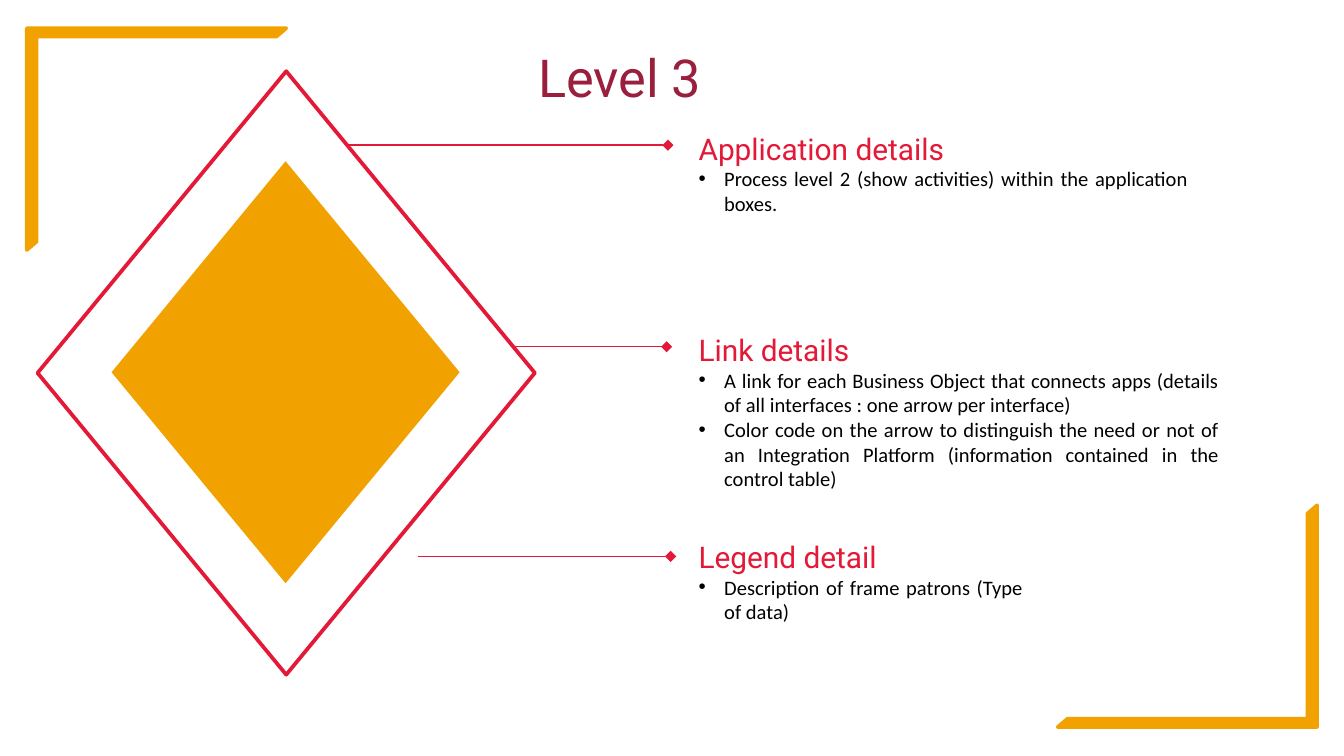
from dataclasses import dataclass

from lxml.etree import SubElement
from pptx import Presentation
from pptx.dml.color import RGBColor
from pptx.enum.shapes import MSO_CONNECTOR, MSO_SHAPE
from pptx.enum.text import MSO_AUTO_SIZE, PP_ALIGN
from pptx.oxml.ns import qn
from pptx.shapes.autoshape import Shape
from pptx.slide import Slide
from pptx.text.text import TextFrame
from pptx.util import Inches, Pt

ORANGE = RGBColor(0xF2, 0xA2, 0x00)
RED = RGBColor(0xE3, 0x19, 0x37)
MAROON = RGBColor(0x99, 0x1F, 0x3D)
WHITE = RGBColor(0xFF, 0xFF, 0xFF)
BLACK = RGBColor(0x00, 0x00, 0x00)
BULLET_INDENT = Inches(0.19)
CALLOUT_LEFT = 5.1


@dataclass(frozen=True)
class Frame:
    left: float
    top: float
    width: float
    height: float


@dataclass(frozen=True)
class Callout:
    frame: Frame
    heading: str
    heading_align: PP_ALIGN
    bullets: tuple[str, ...]
    line_start: float
    line_end: float
    line_y: float


CORNERS = (
    (Frame(0.2, 0.21, 1.93, 1.65), 0),
    (Frame(7.87, 3.76, 1.93, 1.65), 180),
)

CALLOUTS = (
    Callout(
        Frame(CALLOUT_LEFT, 0.92, 3.84, 0.74),
        "Application details",
        PP_ALIGN.JUSTIFY,
        ("Process level 2 (show activities) within the application boxes.",),
        2.48, 4.97, 1.08,
    ),
    Callout(
        Frame(CALLOUT_LEFT, 2.42, 4.07, 1.3),
        "Link details",
        PP_ALIGN.LEFT,
        (
            "A link for each Business Object that connects apps "
            "(details of all interfaces : one arrow per interface)",
            "Color code on the arrow to distinguish the need or not of an "
            "Integration Platform (information contained in the control table)",
        ),
        3.34, 4.96, 2.58,
    ),
    Callout(
        Frame(CALLOUT_LEFT, 3.96, 2.61, 0.74),
        "Legend detail",
        PP_ALIGN.LEFT,
        ("Description of frame patrons (Type of data)",),
        3.11, 4.99, 4.14,
    ),
)


def add_outline(page: Slide, kind: MSO_SHAPE, frame: Frame, fill: RGBColor,
                line: RGBColor | None = None) -> Shape:
    shape = page.shapes.add_shape(
        kind, Inches(frame.left), Inches(frame.top),
        Inches(frame.width), Inches(frame.height))
    shape.shadow.inherit = False
    shape.fill.solid()
    shape.fill.fore_color.rgb = fill
    if line is None:
        shape.line.fill.background()
    else:
        shape.line.color.rgb = line
        shape.line.width = Pt(2)
    return shape


def add_corner(page: Slide, frame: Frame, rotation: float) -> None:
    corner = add_outline(page, MSO_SHAPE.HALF_FRAME, frame, ORANGE, ORANGE)
    corner.rotation = rotation
    corner.adjustments[0] = 0.038
    corner.adjustments[1] = 0.044


def add_leader(page: Slide, callout: Callout) -> None:
    height = Inches(callout.line_y)
    leader = page.shapes.add_connector(
        MSO_CONNECTOR.STRAIGHT, Inches(callout.line_start), height,
        Inches(callout.line_end), height)
    leader.line.color.rgb = RED
    leader.line.width = Pt(0.75)
    SubElement(leader.line._get_or_add_ln(), qn("a:tailEnd"), type="diamond")
    SubElement(leader._element.spPr, qn("a:effectLst"))


def add_text_box(page: Slide, frame: Frame) -> TextFrame:
    box = page.shapes.add_textbox(
        Inches(frame.left), Inches(frame.top),
        Inches(frame.width), Inches(frame.height))
    box.text_frame.word_wrap = True
    box.text_frame.auto_size = MSO_AUTO_SIZE.SHAPE_TO_FIT_TEXT
    return box.text_frame


def write_para(text_frame: TextFrame, text: str, font: str, size: float,
               color: RGBColor, align: PP_ALIGN, bullet: bool = False) -> None:
    para = text_frame.add_paragraph() if bullet else text_frame.paragraphs[0]
    para.add_run().text = text
    para.alignment = align
    if bullet:
        properties = para._p.get_or_add_pPr()
        properties.set("marL", str(BULLET_INDENT))
        properties.set("indent", str(-BULLET_INDENT))
        SubElement(properties, qn("a:buFont"), typeface="Arial")
        SubElement(properties, qn("a:buChar"), char="•")
    para.font.name = font
    para.font.size = Pt(size)
    para.font.color.rgb = color


def add_callout(page: Slide, callout: Callout) -> None:
    text_frame = add_text_box(page, callout.frame)
    write_para(text_frame, callout.heading, "Roboto", 16, RED,
               callout.heading_align)
    for bullet in callout.bullets:
        write_para(text_frame, bullet, "Calibri", 11, BLACK,
                   PP_ALIGN.JUSTIFY, bullet=True)


def main() -> None:
    deck = Presentation()
    deck.slide_width = Inches(10)
    deck.slide_height = deck.slide_width * 9 // 16
    page = deck.slides.add_slide(deck.slide_layouts[6])

    for frame, rotation in CORNERS:
        add_corner(page, frame, rotation)
    for callout in CALLOUTS:
        add_leader(page, callout)
    add_outline(page, MSO_SHAPE.DIAMOND, Frame(0.28, 0.53, 3.7, 4.49), WHITE, RED)
    add_outline(page, MSO_SHAPE.DIAMOND, Frame(0.83, 1.2, 2.59, 3.14), ORANGE)
    for callout in CALLOUTS:
        add_callout(page, callout)
    title = add_text_box(page, Frame(0.28, 0.29, 8.66, 0.57))
    write_para(title, "Level 3", "Roboto", 28, MAROON, PP_ALIGN.CENTER)

    deck.save("out.pptx")


if __name__ == "__main__":
    main()
